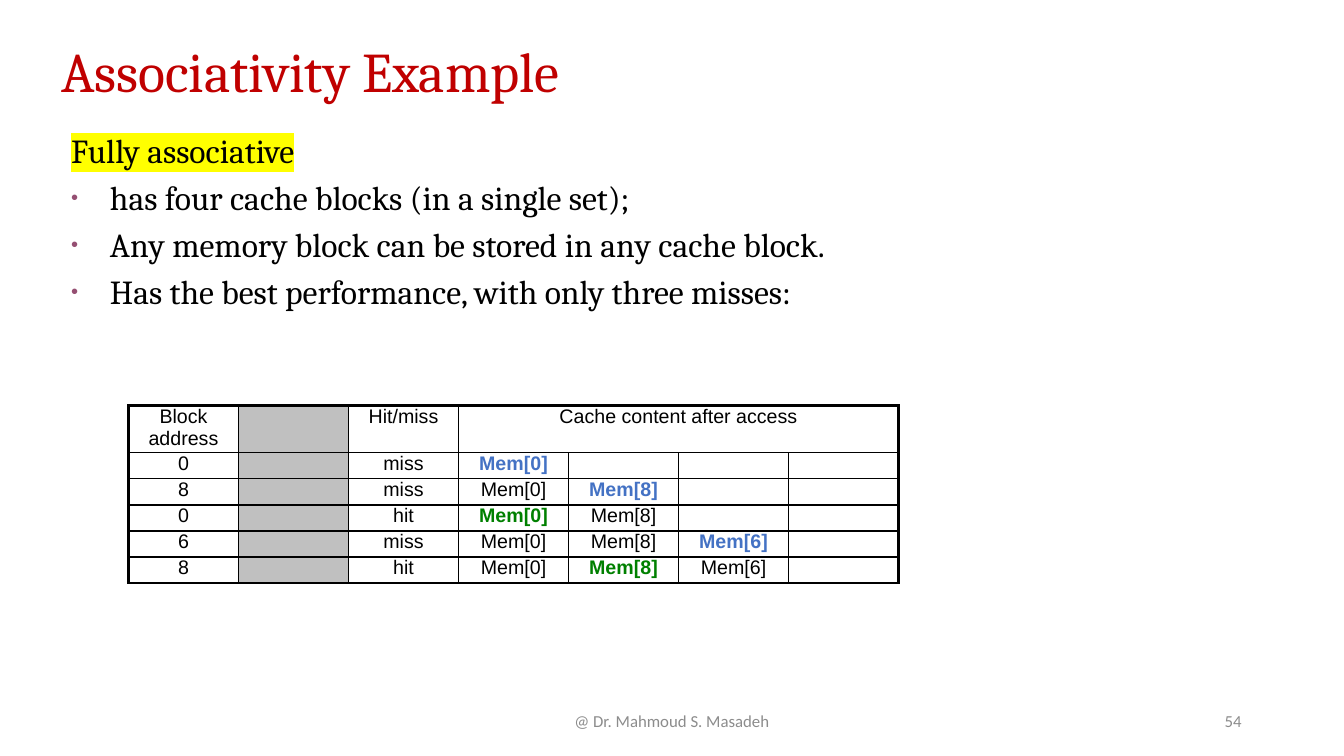
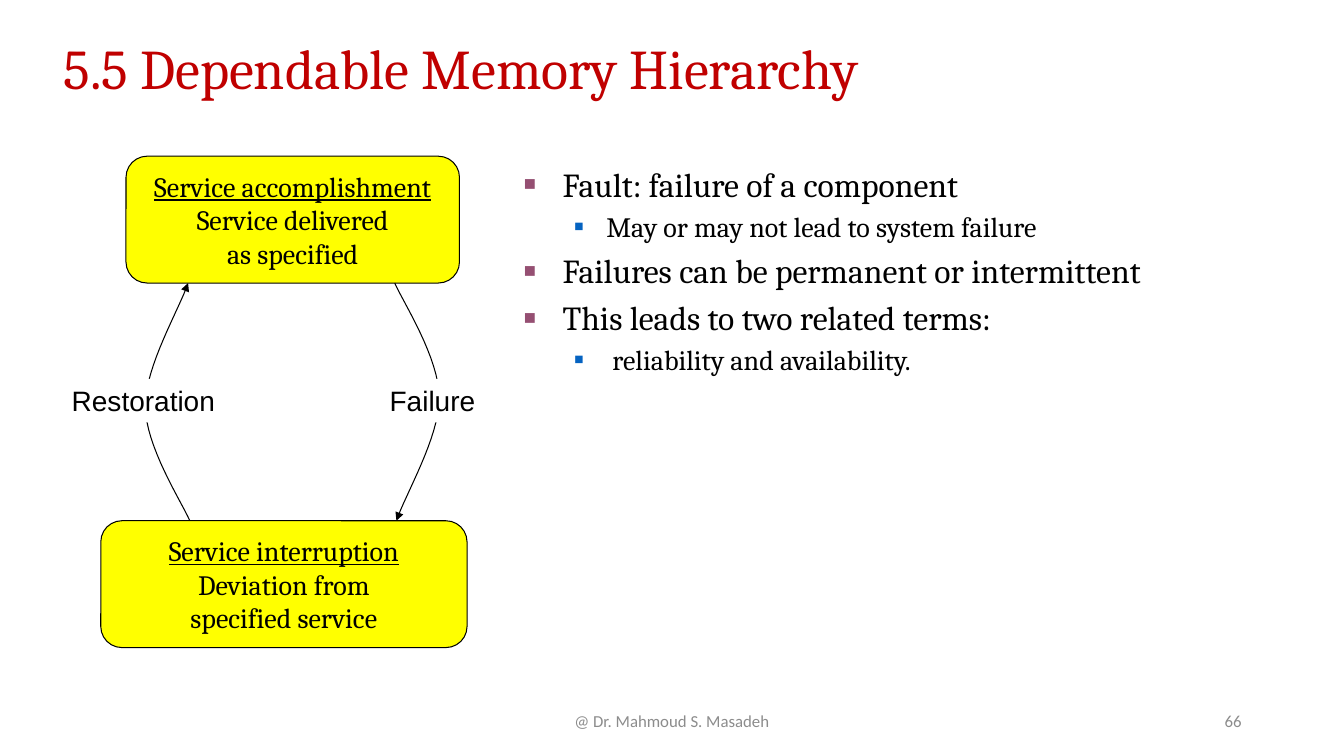
from lxml import etree
from pptx import Presentation
from pptx.dml.color import RGBColor
from pptx.enum.shapes import MSO_SHAPE
from pptx.enum.text import MSO_ANCHOR, PP_ALIGN
from pptx.oxml.ns import qn
from pptx.util import Emu, Pt

WIDE, HIGH = 12192000, 6858000
COL, ROW = WIDE / 16, HIGH / 9
LEFT, MID, RIGHT = PP_ALIGN.LEFT, PP_ALIGN.CENTER, PP_ALIGN.RIGHT
TOP, CORE = MSO_ANCHOR.TOP, MSO_ANCHOR.MIDDLE
RECT, ROUND = MSO_SHAPE.RECTANGLE, MSO_SHAPE.ROUNDED_RECTANGLE
SERIF, SANS, FOOT = "Cambria", "Arial", "Calibri"
RED, BLACK, WHITE, GREY = "C00000", "000000", "FFFFFF", "8C8C8C"
YELLOW, SILVER, BLUE, GREEN = "FFFF00", "C0C0C0", "4472C4", "008000"
PLUM, AZURE = "954F72", "0563C1"
LEVELS = [(24, 0.46, 0.46, PLUM, 60), (20, 0.98, 0.38, AZURE, 55)]


def color(code):
    return RGBColor.from_string(code)


def span(cols, unit=COL):
    return Emu(round(cols * unit))


def area(x, y, w, h):
    return span(x), span(y, ROW), span(w), span(h, ROW)


def node(root, tag, **attrs):
    return etree.SubElement(root, qn("a:" + tag), {k: str(v) for k, v in attrs.items()})


def tint(root, tag, code):
    return node(node(root, tag), "srgbClr", val=code)


def write(para, text, size, face=SERIF, code=BLACK, align=LEFT, bold=False, line=False):
    para.alignment = align
    run = para.add_run()
    run.text = text
    font = run.font
    font.size, font.name, font.bold, font.underline = Pt(size), face, bold, line
    font.color.rgb = color(code)
    return run


def mark(run, code):
    props = run._r.get_or_add_rPr()
    glow = tint(props, "highlight", code)
    props.find(qn("a:solidFill")).addnext(glow.getparent())


def frame(slide, spot, anchor=TOP):
    body = slide.shapes.add_textbox(*area(*spot)).text_frame
    body.word_wrap = True
    body.vertical_anchor = anchor
    return body


def paras(body):
    yield body.paragraphs[0]
    while True:
        yield body.add_paragraph()


def bullet(para, text, sign, level=0):
    size, left, hang, code, part = LEVELS[level]
    para.level = level
    para.space_before = Pt(size * 0.2)
    props = para._p.get_or_add_pPr()
    props.set("marL", str(span(left)))
    props.set("indent", str(-span(hang)))
    tint(props, "buClr", code)
    node(props, "buSzPct", val=part * 1000)
    node(props, "buFont", typeface=SANS)
    node(props, "buChar", char=sign)
    write(para, text, size)


def page(deck, title, x, y, number):
    slide = deck.slides.add_slide(deck.slide_layouts[6])
    head = frame(slide, (x, y, 14.78, 0.74), CORE).paragraphs[0]
    head.line_spacing = 0.9
    write(head, title, 40, code=RED)
    for text, left, wide, align in [
        (number, 11.3, 3.6, RIGHT),
        ("@ Dr. Mahmoud S. Masadeh", 5.3, 5.4, MID),
    ]:
        para = frame(slide, (left, 8.34, wide, 0.48), CORE).paragraphs[0]
        write(para, text, 12, FOOT, GREY, align)
    return slide


def block(slide, kind, spot, fill, edge=None):
    shape = slide.shapes.add_shape(kind, *area(*spot))
    shape.shadow.inherit = False
    shape.fill.solid()
    shape.fill.fore_color.rgb = color(fill)
    if edge:
        shape.line.color.rgb = color(edge)
        shape.line.width = Pt(0.75)
    else:
        shape.line.fill.background()
    shape.text_frame.word_wrap = False
    return shape.text_frame


def state(slide, spot, lines):
    body = block(slide, ROUND, spot, YELLOW, BLACK)
    body.vertical_anchor = CORE
    for text, para in zip(lines, paras(body)):
        write(para, text, 20, align=MID, line=text == lines[0])


def label(slide, text, x, w, align):
    body = block(slide, RECT, (x, 4.51, w, 0.52), WHITE)
    body.vertical_anchor = TOP
    write(body.paragraphs[0], text, 20, SANS, align=align)


def bezier(a, b, c, d, steps=16):
    for i in range(1, steps + 1):
        t = i / steps
        s = 1 - t
        yield tuple(
            s**3 * p + 3 * s * s * t * q + 3 * s * t * t * r + t**3 * e
            for p, q, r, e in zip(a, b, c, d)
        )


def arc(slide, knots):
    dots = [*bezier(*knots[:4]), *bezier(*knots[3:])]
    pen = slide.shapes.build_freeform(*area(*knots[0], 0, 0)[:2])
    pen.add_line_segments([area(x, y, 0, 0)[:2] for x, y in dots], close=False)
    shape = pen.convert_to_shape()
    shape.shadow.inherit = False
    shape.fill.background()
    shape.line.color.rgb = color(BLACK)
    shape.line.width = Pt(0.75)
    node(shape.line._get_or_add_ln(), "tailEnd", type="triangle")


def border(cell, outer):
    props = cell._tc.get_or_add_tcPr()
    for side in "LRTB":
        width = Pt(2.25 if side in outer else 1)
        tint(node(props, "ln" + side, w=int(width)), "solidFill", BLACK)


def trace(access):
    cache = []
    for want in access:
        hit = want in cache
        if not hit:
            cache.append(want)
        hue = GREEN if hit else BLUE
        row = [(str(want), BLACK), ("", BLACK), ("hit" if hit else "miss", BLACK)]
        row += [(f"Mem[{n}]", hue if n == want else BLACK) for n in cache]
        yield row + [("", BLACK)] * (4 - len(cache))


def grid(slide, rows, x, y, wide, tops):
    count = len(rows[0])
    spot = area(x, y, wide * count, sum(tops))
    table = slide.shapes.add_table(len(rows), count, *spot).table
    table.first_row = table.horz_banding = False
    for col in table.columns:
        col.width = span(wide)
    for r, (row, tall) in enumerate(zip(rows, tops)):
        table.rows[r].height = span(tall, ROW)
        for c, (text, code) in enumerate(row):
            cell = table.cell(r, c)
            cell.margin_top = cell.margin_bottom = 0
            outer = "L" * (c == 0) + "T" * (r == 0) + "B" * (r == len(rows) - 1)
            outer += "R" * (c == count - 1 or (r == 0 and c >= 3))
            border(cell, outer)
            if c == 1:
                cell.fill.solid()
                cell.fill.fore_color.rgb = color(SILVER)
            else:
                cell.fill.background()
            para = cell.text_frame.paragraphs[0]
            if text:
                write(para, text, 14, SANS, code, MID, code != BLACK)
            else:
                node(para._p, "endParaRPr", sz=1400)
    table.cell(0, 3).merge(table.cell(0, count - 1))


def cache(deck):
    slide = page(deck, "Associativity Example", 0.61, 0.52, "54")
    body = frame(slide, (0.73, 1.54, 13.43, 2.23))
    lead = body.paragraphs[0]
    lead.line_spacing = 0.9
    mark(write(lead, "Fully associative", 24), YELLOW)
    for text in [
        "has four cache blocks (in a single set);",
        "Any memory block can be stored in any cache block.",
        "Has the best performance, with only three misses:",
    ]:
        bullet(body.add_paragraph(), text, "•")
    heads = ["Block address", "", "Hit/miss", "Cache content after access", "", "", ""]
    rows = [[(text, BLACK) for text in heads], *trace([0, 8, 0, 6, 8])]
    grid(slide, rows, 1.53, 4.83, 1.31, [0.56] + [0.31] * 5)


def faults(deck):
    slide = page(deck, "5.5 Dependable Memory Hierarchy", 0.64, 0.48, "66")
    body = frame(slide, (6.12, 1.89, 9.3, 2.64))
    points = [
        ("Fault: failure of a component", 0),
        ("May or may not lead to system failure", 1),
        ("Failures can be permanent or intermittent", 0),
        ("This leads to two related terms:", 0),
        (" reliability and availability.", 1),
    ]
    for (text, level), para in zip(points, paras(body)):
        bullet(para, text, "■", level)
    state(slide, (1.5, 1.86, 3.97, 1.51),
          ["Service accomplishment", "Service delivered", "as specified"])
    state(slide, (1.2, 6.2, 4.36, 1.51),
          ["Service interruption", "Deviation from", "specified service"])
    down = [(4.7, 3.37), (4.8, 3.6), (5.23, 4.26), (5.23, 4.74),
            (5.23, 5.21), (4.82, 5.9), (4.72, 6.2)]
    arc(slide, down)
    arc(slide, [(6.96 - x, 9.57 - y) for x, y in down])
    label(slide, "Failure", 4.52, 1.26, LEFT)
    label(slide, "Restoration", 0.74, 1.94, RIGHT)


def main():
    deck = Presentation()
    deck.slide_width, deck.slide_height = Emu(WIDE), Emu(HIGH)
    cache(deck)
    faults(deck)
    deck.save("out.pptx")


if __name__ == "__main__":
    main()
